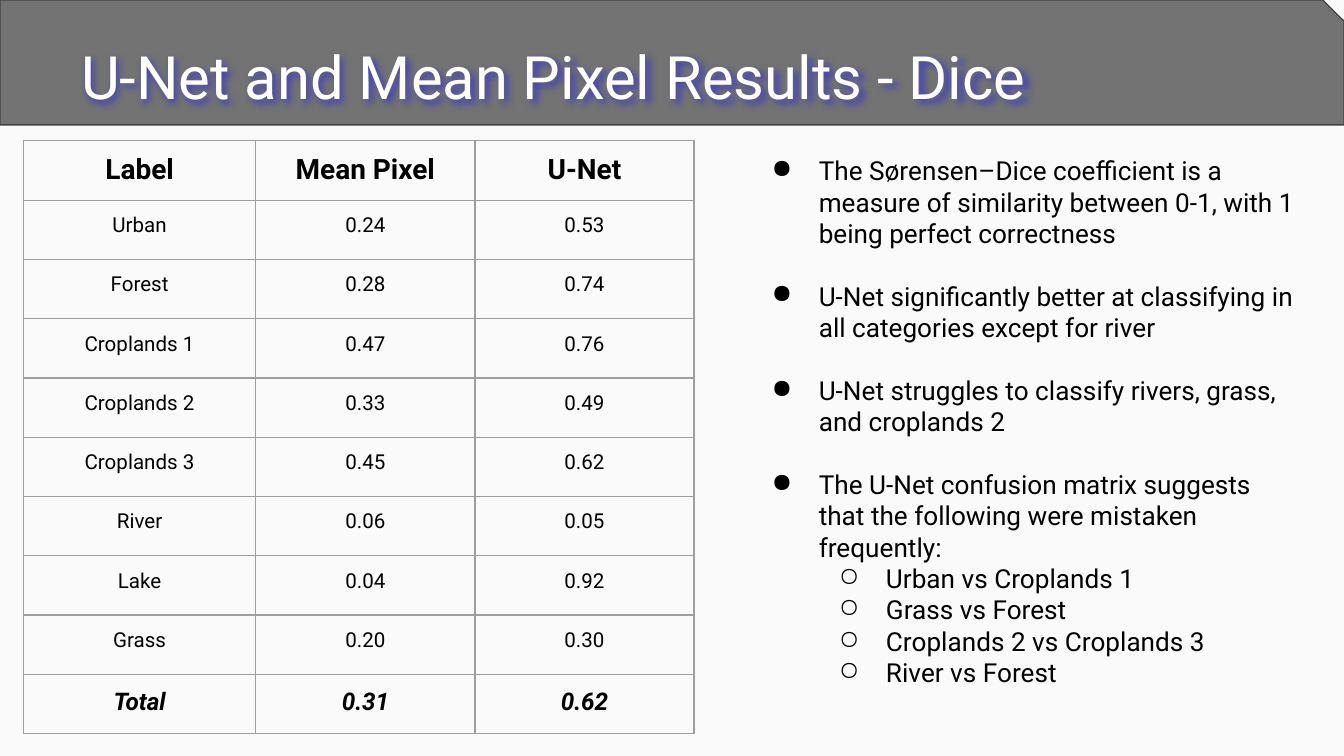
from dataclasses import dataclass

from lxml import etree
from pptx import Presentation
from pptx import util as u
from pptx.dml.color import RGBColor
from pptx.enum import shapes, text
from pptx.oxml import ns

COLUMNS, ROWS = 1000, 562.5
SLIDE_WIDTH, SLIDE_HEIGHT = u.Pt(720), u.Pt(405)


@dataclass(frozen=True)
class Theme:
    font: str = "Roboto"
    background: str = "FAFAFA"
    banner: str = "737373"
    banner_edge: str = "424242"
    heading: str = "FFFFFF"
    heading_shadow: str = "3333CC"
    ink: str = "000000"
    grid: str = "9E9E9E"
    heading_size: int = 32
    header_size: int = 15
    score_size: int = 11
    total_size: int = 13
    body_size: int = 14
    hairline: float = 0.75


@dataclass(frozen=True)
class Area:
    column: float
    row: float
    columns: float
    rows: float

    def lengths(self) -> tuple[int, int, int, int]:
        return across(self.column), down(self.row), across(self.columns), down(self.rows)


@dataclass(frozen=True)
class Score:
    label: str
    mean_pixel: str
    u_net: str


@dataclass(frozen=True)
class Finding:
    wording: str
    details: tuple[str, ...] = ()


@dataclass(frozen=True)
class RowStyle:
    size: int
    bold: bool = False
    italic: bool = False


THEME = Theme()
HEADER_STYLE = RowStyle(THEME.header_size, bold=True)
SCORE_STYLE = RowStyle(THEME.score_size)
TOTAL_STYLE = RowStyle(THEME.total_size, bold=True, italic=True)

BANNER = Area(0, 0, 1000, 93)
HEADING = Area(50.4, 9, 899, 84)
SCORE_TABLE = Area(17.4, 104.4, 499, 441)
FINDINGS_AREA = Area(549.4, 105, 426, 442)
SCORE_COLUMNS = (173, 163, 163)

SCORES = (
    Score("Label", "Mean Pixel", "U-Net"),
    Score("Urban", "0.24", "0.53"),
    Score("Forest", "0.28", "0.74"),
    Score("Croplands 1", "0.47", "0.76"),
    Score("Croplands 2", "0.33", "0.49"),
    Score("Croplands 3", "0.45", "0.62"),
    Score("River", "0.06", "0.05"),
    Score("Lake", "0.04", "0.92"),
    Score("Grass", "0.20", "0.30"),
    Score("Total", "0.31", "0.62"),
)

FINDINGS = (
    Finding("The Sørensen–Dice coefficient is a measure of similarity between 0-1, "
            "with 1 being perfect correctness"),
    Finding("U-Net significantly better at classifying in all categories except for river"),
    Finding("U-Net struggles to classify rivers, grass, and croplands 2"),
    Finding("The U-Net confusion matrix suggests that the following were mistaken frequently:",
            ("Urban vs Croplands 1", "Grass vs Forest",
             "Croplands 2 vs Croplands 3", "River vs Forest")),
)


def across(columns: float) -> int:
    return round(SLIDE_WIDTH * columns / COLUMNS)


def down(rows: float) -> int:
    return round(SLIDE_HEIGHT * rows / ROWS)


def color(value: str) -> RGBColor:
    return RGBColor.from_string(value)


def add_element(parent, tag: str, **attributes):
    values = {name: str(value) for name, value in attributes.items()}
    return etree.SubElement(parent, ns.qn(tag), values)


def add_run(paragraph, wording: str, style: RowStyle, ink: str = THEME.ink) -> None:
    run = paragraph.add_run()
    run.text = wording
    run.font.name = THEME.font
    run.font.size = u.Pt(style.size)
    run.font.bold = style.bold
    run.font.italic = style.italic
    run.font.color.rgb = color(ink)


def set_insets(frame) -> None:
    frame.margin_left = frame.margin_right = across(10)
    frame.margin_top = frame.margin_bottom = down(10)


def draw_banner(slide) -> None:
    banner = slide.shapes.add_shape(shapes.MSO_SHAPE.SNIP_1_RECTANGLE, *BANNER.lengths())
    banner.adjustments[0] = 0.17
    banner.shadow.inherit = False
    banner.fill.solid()
    banner.fill.fore_color.rgb = color(THEME.banner)
    banner.line.color.rgb = color(THEME.banner_edge)
    banner.line.width = u.Pt(THEME.hairline)
    slide.shapes.title.element.addprevious(banner.element)


def draw_heading(slide, wording: str) -> None:
    heading = slide.shapes.title
    heading.left, heading.top, heading.width, heading.height = HEADING.lengths()
    frame = heading.text_frame
    set_insets(frame)
    frame.auto_size = text.MSO_AUTO_SIZE.NONE
    frame.vertical_anchor = text.MSO_ANCHOR.BOTTOM
    frame.paragraphs[0].alignment = text.PP_ALIGN.LEFT
    add_run(frame.paragraphs[0], wording, RowStyle(THEME.heading_size), THEME.heading)
    effects = add_element(heading.element.spPr, "a:effectLst")
    shadow = add_element(effects, "a:outerShdw", blurRad=u.Pt(4), dist=u.Pt(2), dir=2700000)
    tint = add_element(shadow, "a:srgbClr", val=THEME.heading_shadow)
    add_element(tint, "a:alpha", val=80000)


def draw_cell(cell, wording: str, style: RowStyle) -> None:
    set_insets(cell)
    paragraph = cell.text_frame.paragraphs[0]
    paragraph.alignment = text.PP_ALIGN.CENTER
    add_run(paragraph, wording, style)
    properties = cell._tc.get_or_add_tcPr()
    for side in ("a:lnL", "a:lnR", "a:lnT", "a:lnB"):
        border = add_element(properties, side, w=u.Pt(THEME.hairline))
        add_element(add_element(border, "a:solidFill"), "a:srgbClr", val=THEME.grid)
    cell.fill.background()


def draw_scores(slide) -> None:
    table = slide.shapes.add_table(len(SCORES), len(SCORE_COLUMNS), *SCORE_TABLE.lengths()).table
    table.first_row = table.horz_banding = False
    for column, share in zip(table.columns, SCORE_COLUMNS):
        column.width = across(share)
    styles = (HEADER_STYLE, *[SCORE_STYLE] * (len(SCORES) - 2), TOTAL_STYLE)
    for row, score, style in zip(table.rows, SCORES, styles):
        row.height = down(SCORE_TABLE.rows / len(SCORES))
        for cell, wording in zip(row.cells, (score.label, score.mean_pixel, score.u_net)):
            draw_cell(cell, wording, style)


def draw_bullet(paragraph, wording: str, level: int) -> None:
    properties = paragraph._p.get_or_add_pPr()
    properties.set("marL", str(across(50 * (level + 1))))
    properties.set("indent", str(across(-35)))
    add_element(add_element(properties, "a:buClr"), "a:srgbClr", val=THEME.ink)
    add_element(properties, "a:buChar", char="●○"[level])
    paragraph.level = level
    add_run(paragraph, wording, RowStyle(THEME.body_size))


def draw_findings(slide) -> None:
    frame = slide.shapes.add_textbox(*FINDINGS_AREA.lengths()).text_frame
    frame.word_wrap = True
    set_insets(frame)
    for index, finding in enumerate(FINDINGS):
        paragraph = frame.add_paragraph() if index else frame.paragraphs[0]
        draw_bullet(paragraph, finding.wording, 0)
        if index:
            paragraph.space_before = u.Pt(THEME.body_size * 1.2)
        for detail in finding.details:
            draw_bullet(frame.add_paragraph(), detail, 1)


def main() -> None:
    deck = Presentation()
    deck.slide_width, deck.slide_height = SLIDE_WIDTH, SLIDE_HEIGHT
    slide = deck.slides.add_slide(deck.slide_layouts.get_by_name("Title Only"))
    slide.background.fill.solid()
    slide.background.fill.fore_color.rgb = color(THEME.background)
    draw_banner(slide)
    draw_heading(slide, "U-Net and Mean Pixel Results - Dice")
    draw_scores(slide)
    draw_findings(slide)
    deck.save("out.pptx")


if __name__ == "__main__":
    main()
